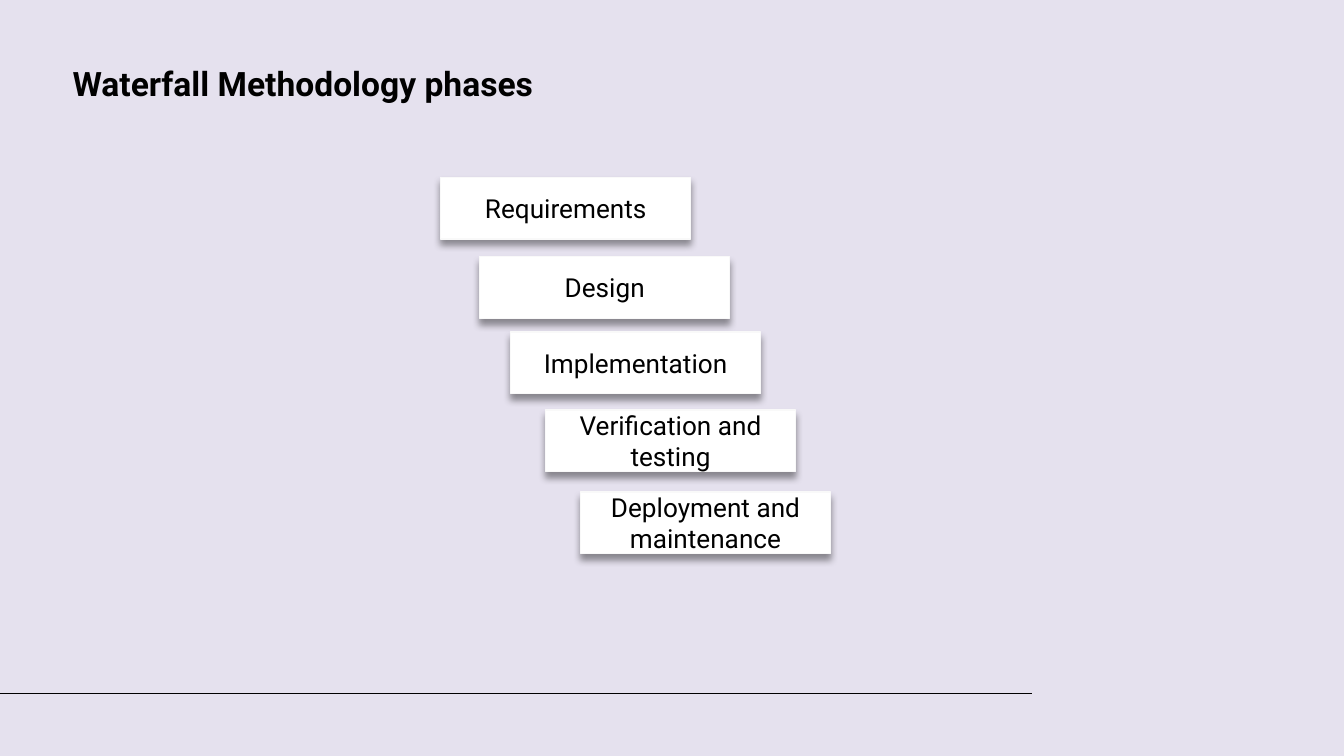
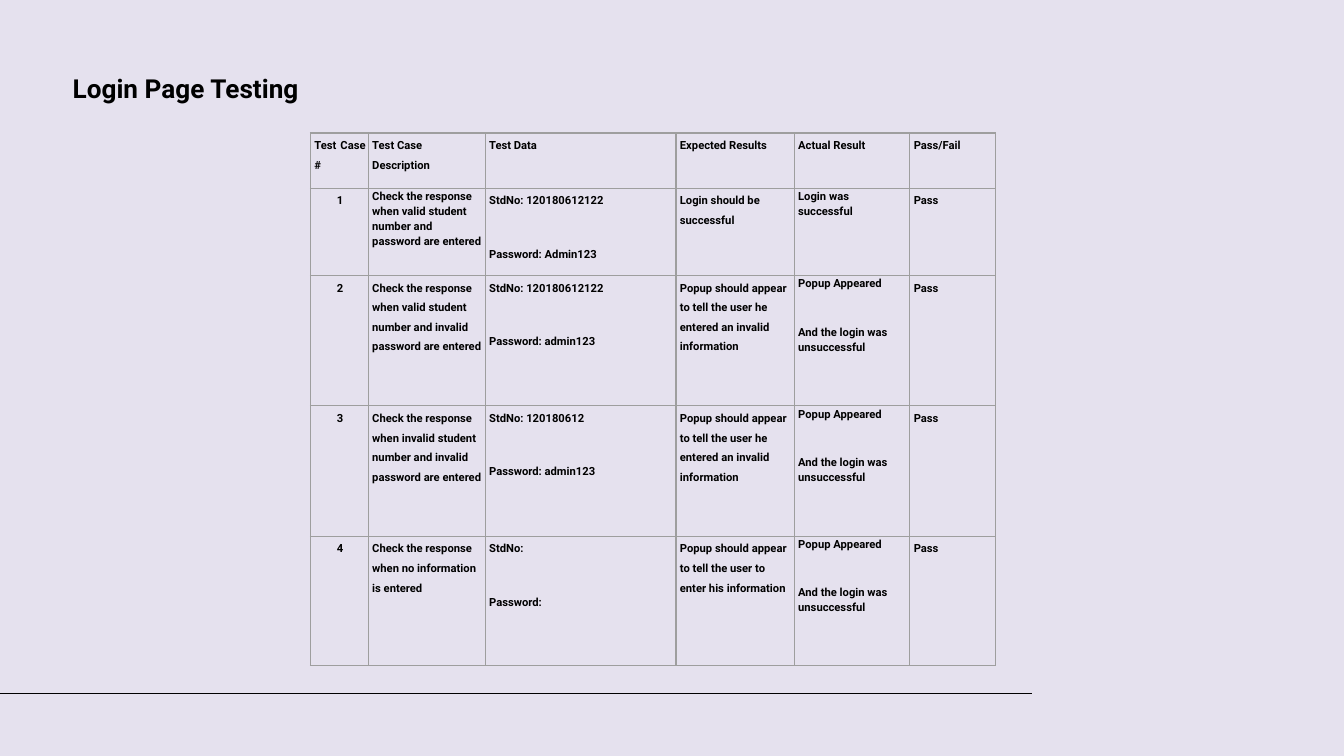
from lxml import etree
from pptx import Presentation
from pptx.dml.color import RGBColor
from pptx.enum.shapes import MSO_CONNECTOR, MSO_SHAPE
from pptx.enum.text import MSO_ANCHOR, MSO_AUTO_SIZE, PP_ALIGN
from pptx.oxml import parse_xml
from pptx.oxml.ns import nsdecls, qn
from pptx.util import Inches, Pt

LEFT, CENTER, JUSTIFY = PP_ALIGN.LEFT, PP_ALIGN.CENTER, PP_ALIGN.JUSTIFY
TOP, MIDDLE = MSO_ANCHOR.TOP, MSO_ANCHOR.MIDDLE

LAVENDER = RGBColor(0xE5, 0xE1, 0xEE)
BLACK = RGBColor(0x00, 0x00, 0x00)
WHITE = RGBColor(0xFF, 0xFF, 0xFF)
OFF_WHITE = RGBColor(0xF9, 0xF9, 0xF9)
GREY = RGBColor(0x9E, 0x9E, 0x9E)
FONT = "Roboto"
TITLE_ONLY = 5

SHADOW = f"""<a:effectLst {nsdecls('a')}>
<a:outerShdw blurRad="{Pt(4)}" dist="{Pt(3)}" dir="5400000" algn="bl" rotWithShape="0">
<a:srgbClr val="{BLACK}"><a:alpha val="40000"/></a:srgbClr></a:outerShdw></a:effectLst>"""


def format_paragraph(para, size, bold=False, align=LEFT):
    para.alignment = align
    para.font.name = FONT
    para.font.size = Pt(size)
    para.font.bold = bold
    para.font.color.rgb = BLACK


def add_page(title, top, width, height, size):
    page = deck.slides.add_slide(deck.slide_layouts[TITLE_ONLY])
    box = page.shapes.title
    box.left, box.top = Inches(0.44), Inches(top)
    box.width, box.height = Inches(width), Inches(height)
    frame = box.text_frame
    frame.text = title
    frame.word_wrap = True
    frame.auto_size = MSO_AUTO_SIZE.SHAPE_TO_FIT_TEXT
    frame.vertical_anchor = TOP
    format_paragraph(frame.paragraphs[0], size, bold=True)
    return page


deck = Presentation()
deck.slide_width = Inches(10)
deck.slide_height = deck.slide_width * 9 // 16
master = deck.slide_master
master.background.fill.solid()
master.background.fill.fore_color.rgb = LAVENDER

# Waterfall phases
page = add_page("Waterfall Methodology phases", 0.42, 3.8, 0.4, 18)

# The footer rule belongs to the master, so every page shows it
rule = page.shapes.add_connector(
    MSO_CONNECTOR.STRAIGHT, 0, Inches(5.16), Inches(7.68), Inches(5.16))
rule.line.color.rgb = BLACK
rule.line.width = Pt(0.75)
etree.SubElement(rule.element.spPr, qn("a:effectLst"))
master.shapes.element.append(rule.element)

phases = [
    ("Requirements", 3.28, 1.32),
    ("Design", 3.57, 1.91),
    ("Implementation", 3.8, 2.47),
    ("Verification and testing", 4.06, 3.05),
    ("Deployment and maintenance", 4.32, 3.66),
]
for phase, left, top in phases:
    box = page.shapes.add_shape(
        MSO_SHAPE.RECTANGLE, Inches(left), Inches(top), Inches(1.86), Inches(0.46))
    box.fill.solid()
    box.fill.fore_color.rgb = WHITE
    box.line.color.rgb = OFF_WHITE
    box.line.width = Pt(0.75)
    box.element.spPr.append(parse_xml(SHADOW))
    box.text_frame.text = phase
    box.text_frame.word_wrap = True
    box.text_frame.vertical_anchor = MIDDLE
    format_paragraph(box.text_frame.paragraphs[0], 14, align=CENTER)

# Login test cases
page = add_page("Login Page Testing", 0.49, 2.48, 0.34, 14)
invalid_popup = "Popup should appear to tell the user he entered an invalid information"
rejected = "Popup Appeared\nAnd the login was unsuccessful"
test_cases = [
    ("Test Case #", "Test Case Description", "Test Data",
     "Expected Results", "Actual Result", "Pass/Fail"),
    ("1", "Check the response when valid student number and password are entered",
     "StdNo: 120180612122\nPassword: Admin123",
     "Login should be successful", "Login was successful", "Pass"),
    ("2", "Check the response when valid student number and invalid password are entered",
     "StdNo: 120180612122\nPassword: admin123", invalid_popup, rejected, "Pass"),
    ("3", "Check the response when invalid student number and invalid password are entered",
     "StdNo: 120180612\nPassword: admin123", invalid_popup, rejected, "Pass"),
    ("4", "Check the response when no information is entered",
     "StdNo:\nPassword:",
     "Popup should appear to tell the user to enter his information", rejected, "Pass"),
]
column_widths = [0.43, 0.87, 1.42, 0.88, 0.86, 0.64]
row_heights = [0.41, 0.65, 0.97, 0.97, 0.96]
NUMBER, DESCRIPTION, ACTUAL = 0, 1, 4

table = page.shapes.add_table(
    len(row_heights), len(column_widths), Inches(2.31), Inches(0.99),
    Inches(sum(column_widths)), Inches(sum(row_heights))).table
table.first_row = table.horz_banding = False
for column, width in zip(table.columns, column_widths):
    column.width = Inches(width)
for row, height in zip(table.rows, row_heights):
    row.height = Inches(height)

for r, test_case in enumerate(test_cases):
    for c, text in enumerate(test_case):
        cell = table.cell(r, c)
        cell.text = text
        cell.margin_left = Inches(0.03)
        # The number column is only just wide enough for its heading
        cell.margin_right = Inches(0.02 if c == NUMBER else 0.03)
        cell.margin_top = cell.margin_bottom = 0
        cell.vertical_anchor = TOP
        if r == 0:
            align = LEFT if c == DESCRIPTION else JUSTIFY
        else:
            align = CENTER if c == NUMBER else LEFT
        tight = (r > 0 and c == ACTUAL) or (r == 1 and c == DESCRIPTION)
        for para in cell.text_frame.paragraphs:
            format_paragraph(para, 6, bold=True, align=align)
            para.line_spacing = 1.15 if tight else 1.5
            para.space_after = Pt(18)
        properties = cell._tc.get_or_add_tcPr()
        for side in ("lnL", "lnR", "lnT", "lnB"):
            properties.append(parse_xml(
                f'<a:{side} {nsdecls("a")} w="{Pt(0.75)}"><a:solidFill>'
                f'<a:srgbClr val="{GREY}"/></a:solidFill></a:{side}>'))
        cell.fill.background()

deck.save("out.pptx")
